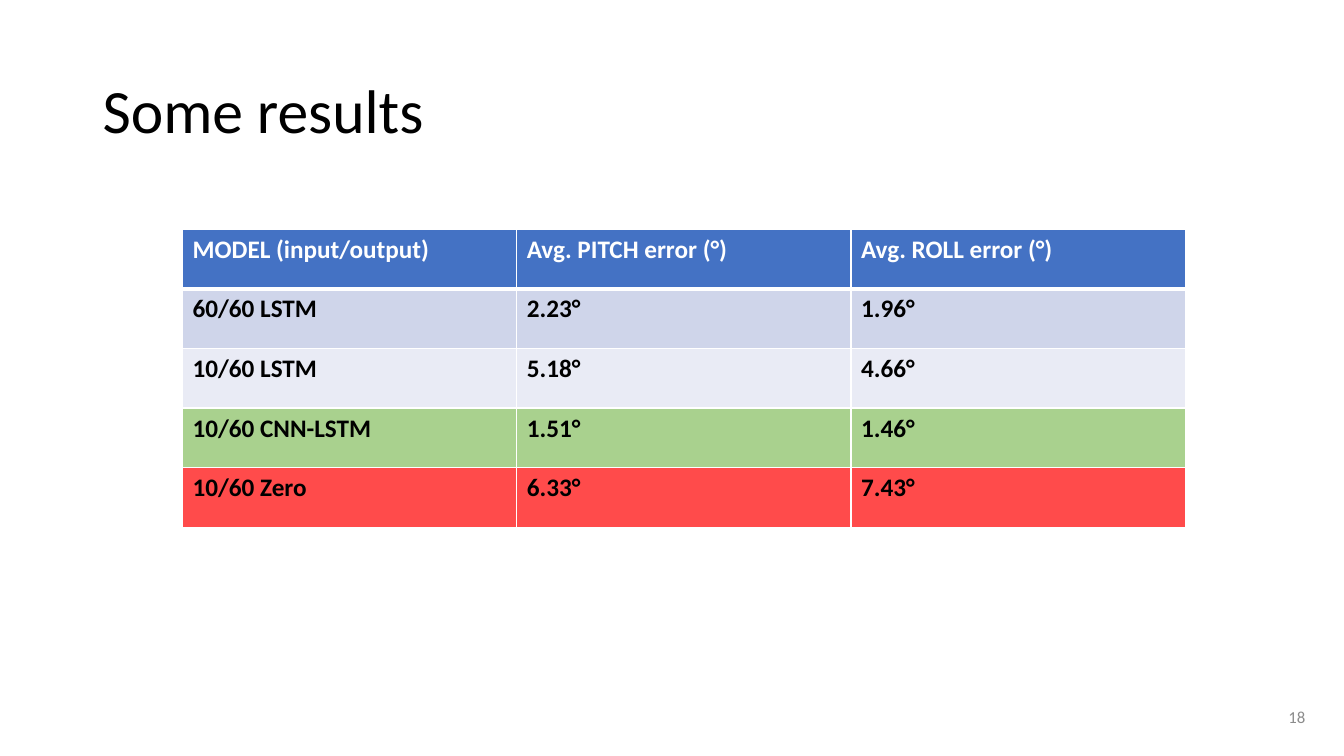
import pptx
import pptx.dml.color
import pptx.enum.text
import pptx.oxml
import pptx.oxml.ns
import pptx.util

Cm = pptx.util.Cm
Pt = pptx.util.Pt
ALIGN = pptx.enum.text.PP_ALIGN
ANCHOR = pptx.enum.text.MSO_ANCHOR

FONT = "Calibri"
WHITE, BLACK, GREY = "FFFFFF", "000000", "8C8C8C"
HEADER_BLUE = "4472C4"

HEADINGS = ("MODEL (input/output)", "Avg. PITCH error (°)", "Avg. ROLL error (°)")
RESULTS = [
    ("CFD5EA", ("60/60 LSTM", "2.23°", "1.96°")),
    ("E9EBF5", ("10/60 LSTM", "5.18°", "4.66°")),
    ("A9D18E", ("10/60 CNN-LSTM", "1.51°", "1.46°")),
    ("FF4B4B", ("10/60 Zero", "6.33°", "7.43°")),
]


def paint(color_format, hex_color):
    color_format.rgb = pptx.dml.color.RGBColor.from_string(hex_color)


def add_run(paragraph, text, size, color, bold=False):
    run = paragraph.add_run()
    run.text = text
    run.font.name = FONT
    run.font.size = Pt(size)
    run.font.bold = bold
    paint(run.font.color, color)


def set_borders(cell, bottom_width):
    """Draw white cell borders, 1 pt except for the bottom one."""
    properties = cell._tc.get_or_add_tcPr()
    for side, width in (("L", 1), ("R", 1), ("T", 1), ("B", bottom_width)):
        properties.append(pptx.oxml.parse_xml(
            f'<a:ln{side} {pptx.oxml.ns.nsdecls("a")} w="{Pt(width)}">'
            f'<a:solidFill><a:srgbClr val="{WHITE}"/></a:solidFill></a:ln{side}>'))


def place_title(slide, left, top, width, height):
    title = slide.shapes.title
    title.left, title.top, title.width, title.height = left, top, width, height
    frame = title.text_frame
    frame.auto_size = pptx.enum.text.MSO_AUTO_SIZE.NONE
    frame.vertical_anchor = ANCHOR.MIDDLE
    heading = frame.paragraphs[0]
    heading.alignment = ALIGN.LEFT
    heading.line_spacing = 0.9
    add_run(heading, "Some results", 44, BLACK)


def add_results(slide, left, top, width, height):
    rows = [(HEADER_BLUE, HEADINGS)] + RESULTS
    results = slide.shapes.add_table(
        len(rows), len(HEADINGS), left, top, width, height).table
    for column in results.columns:
        column.width = width // len(HEADINGS)
    for row_index, (fill, texts) in enumerate(rows):
        is_header = row_index == 0
        results.rows[row_index].height = height // len(rows)
        for cell, text in zip(results.rows[row_index].cells, texts):
            set_borders(cell, 3 if is_header else 1)
            cell.fill.solid()
            paint(cell.fill.fore_color, fill)
            add_run(cell.text_frame.paragraphs[0], text, 18,
                    WHITE if is_header else BLACK, bold=True)


def add_slide_number(slide, left, top, width, height):
    frame = slide.shapes.add_textbox(left, top, width, height).text_frame
    frame.word_wrap = True
    frame.vertical_anchor = ANCHOR.MIDDLE
    number = frame.paragraphs[0]
    number.alignment = ALIGN.RIGHT
    add_run(number, "18", 12, GREY)


def main():
    presentation = pptx.Presentation()
    presentation.slide_width = Cm(33.87)
    presentation.slide_height = Cm(19.05)
    slide = presentation.slides.add_slide(
        presentation.slide_layouts.get_by_name("Title Only"))
    place_title(slide, Cm(2.33), Cm(1.01), Cm(30.76), Cm(3.68))
    add_results(slide, Cm(4.6), Cm(5.77), Cm(25.27), Cm(7.52))
    add_slide_number(slide, Cm(27.43), Cm(17.55), Cm(5.72), Cm(1.01))
    presentation.save("out.pptx")


if __name__ == "__main__":
    main()
